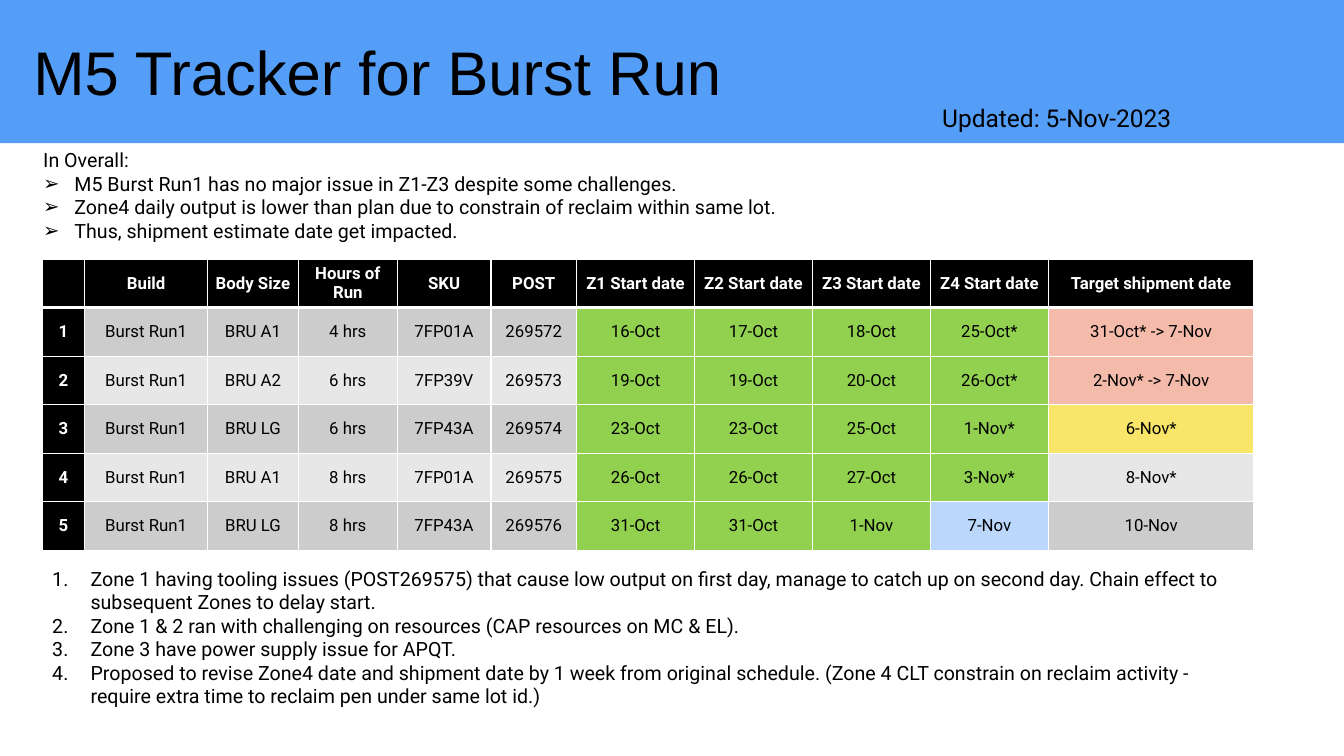
import pptx
import pptx.util
import pptx.dml.color
import pptx.enum.shapes
import pptx.enum.text
import pptx.oxml.ns
import lxml.etree

Inches = pptx.util.Inches
qn = pptx.oxml.ns.qn
ALIGN = pptx.enum.text.PP_ALIGN
MIDDLE = pptx.enum.text.MSO_ANCHOR.MIDDLE

BLACK, WHITE, BLUE = "000000", "FFFFFF", "549EF8"
BANDS = ["CCCCCC", "E7E7E7"]
DONE, NEXT, LATE, RISK = "92D050", "BBD8FC", "F5BBAA", "F8E569"

SUMMARY = [
    "M5 Burst Run1 has no major issue in Z1-Z3 despite some challenges.",
    "Zone4 daily output is lower than plan due to constrain of reclaim within same lot.",
    "Thus, shipment estimate date get impacted.",
]
NOTES = [
    "Zone 1 having tooling issues (POST269575) that cause low output on first day, "
    "manage to catch up on second day. Chain effect to subsequent Zones to delay start.",
    "Zone 1 & 2 ran with challenging on resources (CAP resources on MC & EL).",
    "Zone 3 have power supply issue for APQT.",
    "Proposed to revise Zone4 date and shipment date by 1 week from original schedule. "
    "(Zone 4 CLT constrain on reclaim activity - require extra time to reclaim pen "
    "under same lot id.)",
]
HEAD = ["", "Build", "Body Size", "Hours of Run", "SKU", "POST"]
HEAD += [f"Z{zone} Start date" for zone in range(1, 5)] + ["Target shipment date"]
WIDTHS = [0.42, 1.22, 0.9, 0.98, 0.93, 0.85] + [1.17] * 4 + [2.04]
# Body size, hours, SKU, zone start dates, shipment date
RUNS = [
    ["BRU A1", 4, "7FP01A", "16-Oct", "17-Oct", "18-Oct", "25-Oct*", "31-Oct* -> 7-Nov"],
    ["BRU A2", 6, "7FP39V", "19-Oct", "19-Oct", "20-Oct", "26-Oct*", "2-Nov* -> 7-Nov"],
    ["BRU LG", 6, "7FP43A", "23-Oct", "23-Oct", "25-Oct", "1-Nov*", "6-Nov*"],
    ["BRU A1", 8, "7FP01A", "26-Oct", "26-Oct", "27-Oct", "3-Nov*", "8-Nov*"],
    ["BRU LG", 8, "7FP43A", "31-Oct", "31-Oct", "1-Nov", "7-Nov", "10-Nov"],
]
# Cells whose status differs from the rule for their column
STATUS = {(1, 10): LATE, (2, 10): LATE, (3, 10): RISK, (5, 9): NEXT}


def color(code):
    return pptx.dml.color.RGBColor.from_string(code)


def write(para, text, size=14, face="Roboto", ink=BLACK, bold=False, align=None):
    run = para.add_run()
    run.text = text
    run.font.size = pptx.util.Pt(size)
    run.font.name = face
    run.font.bold = bold
    run.font.color.rgb = color(ink)
    para.alignment = align


def mark(para, indent, tag, **attrs):
    """Give a paragraph a hanging bullet or number."""
    props = para._p.get_or_add_pPr()
    props.set("marL", str(Inches(indent)))
    props.set("indent", str(-Inches(indent)))
    lxml.etree.SubElement(props, qn("a:buFont"), typeface="Arial")
    lxml.etree.SubElement(props, qn(tag), **attrs)


def add_box(slide, left, top, width, height):
    box = slide.shapes.add_textbox(*map(Inches, (left, top, width, height)))
    box.text_frame.word_wrap = True
    return box.text_frame


def add_list(frame, items, indent, tag, **attrs):
    for item in items:
        first = frame.paragraphs[0]
        para = frame.add_paragraph() if first.runs else first
        mark(para, indent, tag, **attrs)
        write(para, item)


def add_banner(slide):
    size = (0, 0, Inches(13.33), Inches(1.42))
    banner = slide.shapes.add_shape(pptx.enum.shapes.MSO_SHAPE.RECTANGLE, *size)
    banner.shadow.inherit = False
    banner.fill.solid()
    banner.fill.fore_color.rgb = color(BLUE)
    banner.line.fill.background()
    slide.shapes.title.element.addprevious(banner.element)


def set_title(slide, text):
    title = slide.shapes.title
    title.left, title.top = Inches(0.33), Inches(0.43)
    title.width, title.height = Inches(12.7), Inches(0.66)
    frame = title.text_frame
    frame.margin_left = frame.margin_right = frame.margin_top = frame.margin_bottom = 0
    frame.vertical_anchor = MIDDLE
    frame.auto_size = pptx.enum.text.MSO_AUTO_SIZE.NONE
    para = frame.paragraphs[0]
    para.line_spacing = 0.85
    write(para, text, size=44, face="Arial", align=ALIGN.LEFT)


def edge(cell, side, width):
    props = cell._tc.get_or_add_tcPr()
    line = lxml.etree.SubElement(props, qn("a:ln" + side), w=str(pptx.util.Pt(width)))
    fill = lxml.etree.SubElement(line, qn("a:solidFill"))
    lxml.etree.SubElement(fill, qn("a:srgbClr"), val=WHITE)


def shade(row, col):
    if row == 0 or col == 0:
        return BLACK
    rule = DONE if 6 <= col <= 9 else BANDS[(row - 1) % 2]
    return STATUS.get((row, col), rule)


def fill_cell(cell, text, row, col):
    cell.margin_left = cell.margin_right = Inches(0.07)
    cell.margin_top = cell.margin_bottom = 0
    cell.vertical_anchor = MIDDLE
    for side in "LRTB":
        heavy = (row, side) in [(0, "B"), (1, "T")]
        edge(cell, side, 3 if heavy else 1)
    back = shade(row, col)
    cell.fill.solid()
    cell.fill.fore_color.rgb = color(back)
    dark = back == BLACK
    if text:
        write(cell.text_frame.paragraphs[0], text, size=12, bold=dark,
              ink=WHITE if dark else BLACK, align=ALIGN.CENTER)


def add_tracker(slide):
    rows = [HEAD]
    for num, (body, hours, sku, *dates) in enumerate(RUNS, 1):
        post = str(269571 + num)
        rows.append([str(num), "Burst Run1", body, f"{hours} hrs", sku, post] + dates)
    size = map(Inches, (0.42, 2.57, 12.03, 2.89))
    table = slide.shapes.add_table(len(rows), len(HEAD), *size).table
    for column, width in zip(table.columns, WIDTHS):
        column.width = Inches(width)
    for r, row in enumerate(rows):
        for c, text in enumerate(row):
            fill_cell(table.cell(r, c), text, r, c)


def main():
    deck = pptx.Presentation()
    deck.slide_width, deck.slide_height = Inches(13.33), Inches(7.5)
    slide = deck.slides.add_slide(deck.slide_layouts.get_by_name("Title Only"))

    # Heading band
    add_banner(slide)
    set_title(slide, "M5 Tracker for Burst Run")
    stamp = add_box(slide, 8.46, 0.97, 3.26, 0.4)
    write(stamp.paragraphs[0], "Updated: 5-Nov-2023", size=17.5, align=ALIGN.RIGHT)

    # Summary
    brief = add_box(slide, 0.33, 1.42, 12.12, 1.04)
    write(brief.paragraphs[0], "In Overall:")
    add_list(brief, SUMMARY, 0.31, "a:buChar", char="➢")

    # Tracker and its notes
    add_tracker(slide)
    notes = add_box(slide, 0.42, 5.57, 12.03, 1.75)
    add_list(notes, NOTES, 0.38, "a:buAutoNum", type="arabicPeriod")

    deck.save("out.pptx")


if __name__ == "__main__":
    main()
